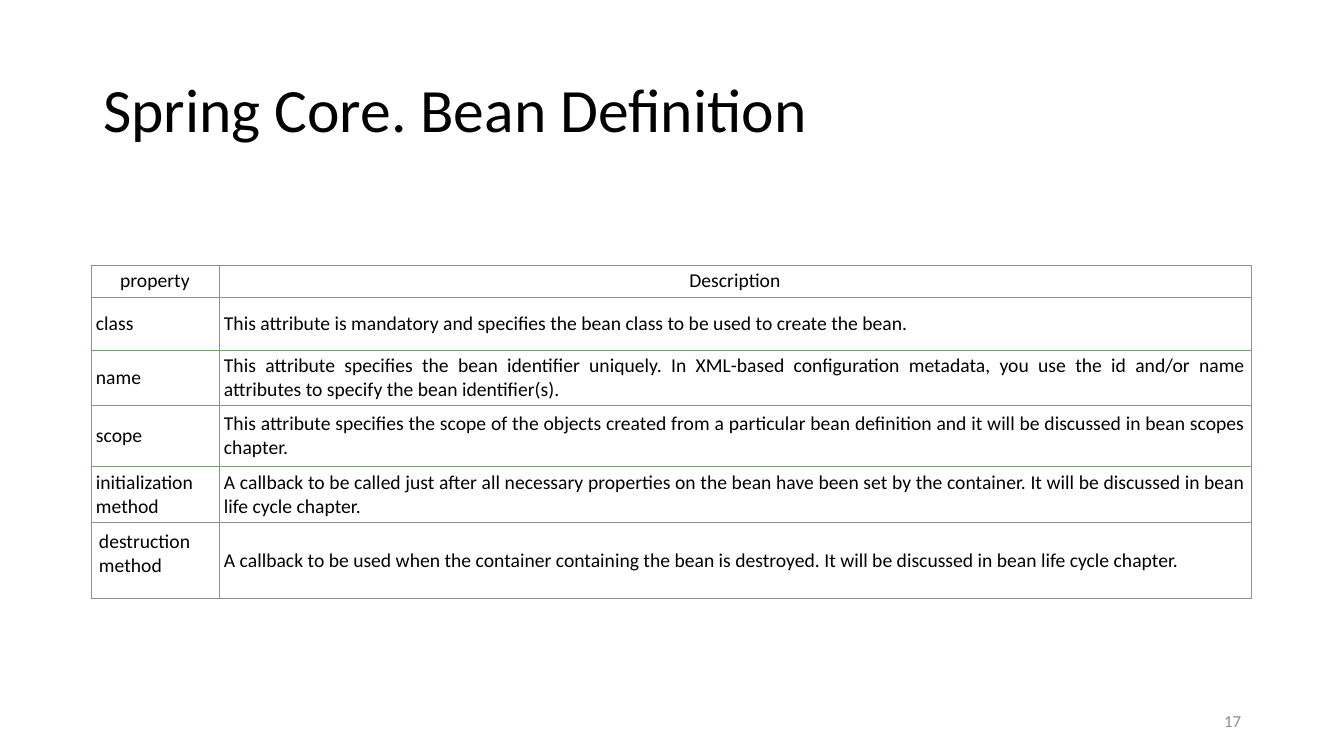
import pptx
import pptx.util
import pptx.dml.color
import pptx.enum.text
import lxml.etree
import pptx.oxml.ns

TITLE = "Spring Core. Bean Definition"
PAGE_NUMBER = "17"
ROWS = [
    ("property", "Description"),
    ("class", "This attribute is mandatory and specifies the bean class to be used to create the bean."),
    ("name", "This attribute specifies the bean identifier uniquely. In XML-based configuration metadata, "
             "you use the id and/or name attributes to specify the bean identifier(s)."),
    ("scope", "This attribute specifies the scope of the objects created from a particular bean definition "
              "and it will be discussed in bean scopes chapter."),
    ("initialization method", "A callback to be called just after all necessary properties on the bean have "
                              "been set by the container. It will be discussed in bean life cycle chapter."),
    ("destruction method", "A callback to be used when the container containing the bean is destroyed. "
                           "It will be discussed in bean life cycle chapter."),
]
COLUMN_WIDTHS = [128, 1032]
ROW_HEIGHTS = [32, 53, 55, 61, 55, 76]
GREEN_RULES = {2, 4}
COLORS = {"text": "000000", "number": "8C8C8C", "cell": "FFFFFF", "gray": "909090", "green": "6AAB5E"}
FONT = "Calibri"
ALIGN = pptx.enum.text.PP_ALIGN
ANCHOR = pptx.enum.text.MSO_ANCHOR


def px(length):
    return pptx.util.Emu(round(length * 914400 / 100.8))


def place(shape, left, top, width, height):
    shape.left, shape.top, shape.width, shape.height = map(px, (left, top, width, height))


def write(frame, text, size, color, align):
    frame.text = text
    para = frame.paragraphs[0]
    para.alignment = align
    font = para.runs[0].font
    font.name, font.size, font.bold = FONT, pptx.util.Pt(size), False
    font.color.rgb = pptx.dml.color.RGBColor.from_string(COLORS[color])
    return para


def add_border(cell, side, color):
    qn = pptx.oxml.ns.qn
    properties = cell._tc.get_or_add_tcPr()
    line = lxml.etree.SubElement(properties, qn(f"a:ln{side}"), w="6350")
    fill = lxml.etree.SubElement(line, qn("a:solidFill"))
    lxml.etree.SubElement(fill, qn("a:srgbClr"), val=COLORS[color])


def rule_color(index):
    return "green" if index in GREEN_RULES else "gray"


def format_cell(cell, text, row, column):
    header = row == 0
    destruction = row == len(ROWS) - 1 and column == 0
    side = 8 if header or destruction else 5
    edge = 8 if destruction else 4
    cell.margin_left = cell.margin_right = px(side)
    cell.margin_top = cell.margin_bottom = px(edge)
    cell.vertical_anchor = ANCHOR.TOP if destruction else ANCHOR.MIDDLE
    write(cell.text_frame, text, 14, "text", ALIGN.CENTER if header else ALIGN.JUSTIFY)
    borders = {"L": "gray", "R": "gray", "T": rule_color(row), "B": rule_color(row + 1)}
    for border, color in borders.items():
        add_border(cell, border, color)
    cell.fill.solid()
    cell.fill.fore_color.rgb = pptx.dml.color.RGBColor.from_string(COLORS["cell"])


def main():
    deck = pptx.Presentation()
    deck.slide_width, deck.slide_height = px(1344), px(756)
    page = deck.slides.add_slide(deck.slide_layouts[5])

    title = page.shapes.title
    place(title, 93, 40, 1159, 146)
    title.text_frame.vertical_anchor = ANCHOR.MIDDLE
    write(title.text_frame, TITLE, 44, "text", ALIGN.LEFT).line_spacing = 0.9

    area = map(px, (91, 265, sum(COLUMN_WIDTHS), sum(ROW_HEIGHTS)))
    table = page.shapes.add_table(len(ROWS), len(COLUMN_WIDTHS), *area).table
    table.first_row = table.horz_banding = False
    for column, width in zip(table.columns, COLUMN_WIDTHS):
        column.width = px(width)
    for row, height in zip(table.rows, ROW_HEIGHTS):
        row.height = px(height)
    for row, texts in enumerate(ROWS):
        for column, text in enumerate(texts):
            format_cell(table.cell(row, column), text, row, column)

    box = page.shapes.add_textbox(*map(px, (949, 701, 302, 40)))
    box.text_frame.word_wrap = True
    box.text_frame.vertical_anchor = ANCHOR.MIDDLE
    write(box.text_frame, PAGE_NUMBER, 12, "number", ALIGN.RIGHT)

    deck.save("out.pptx")


if __name__ == "__main__":
    main()
